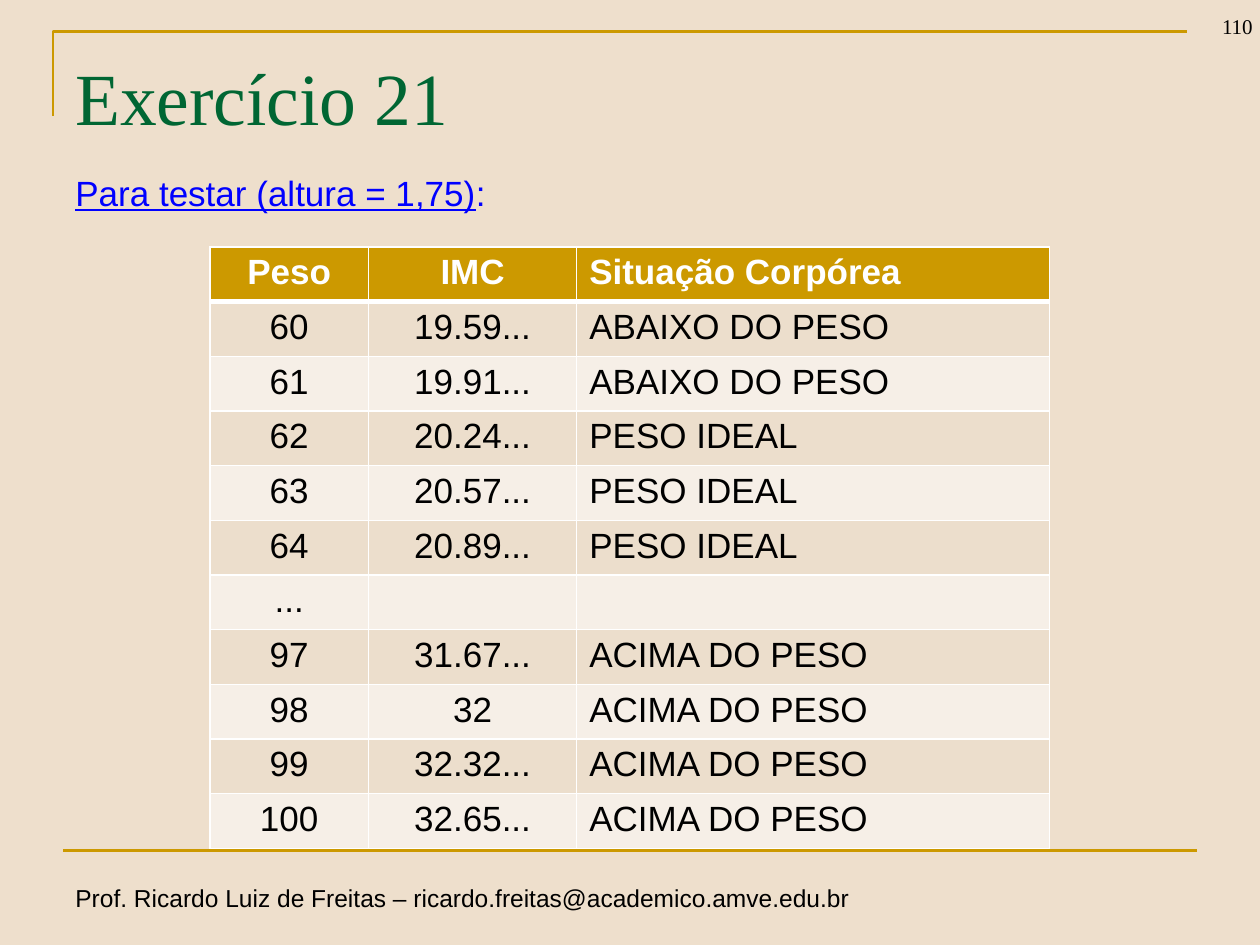
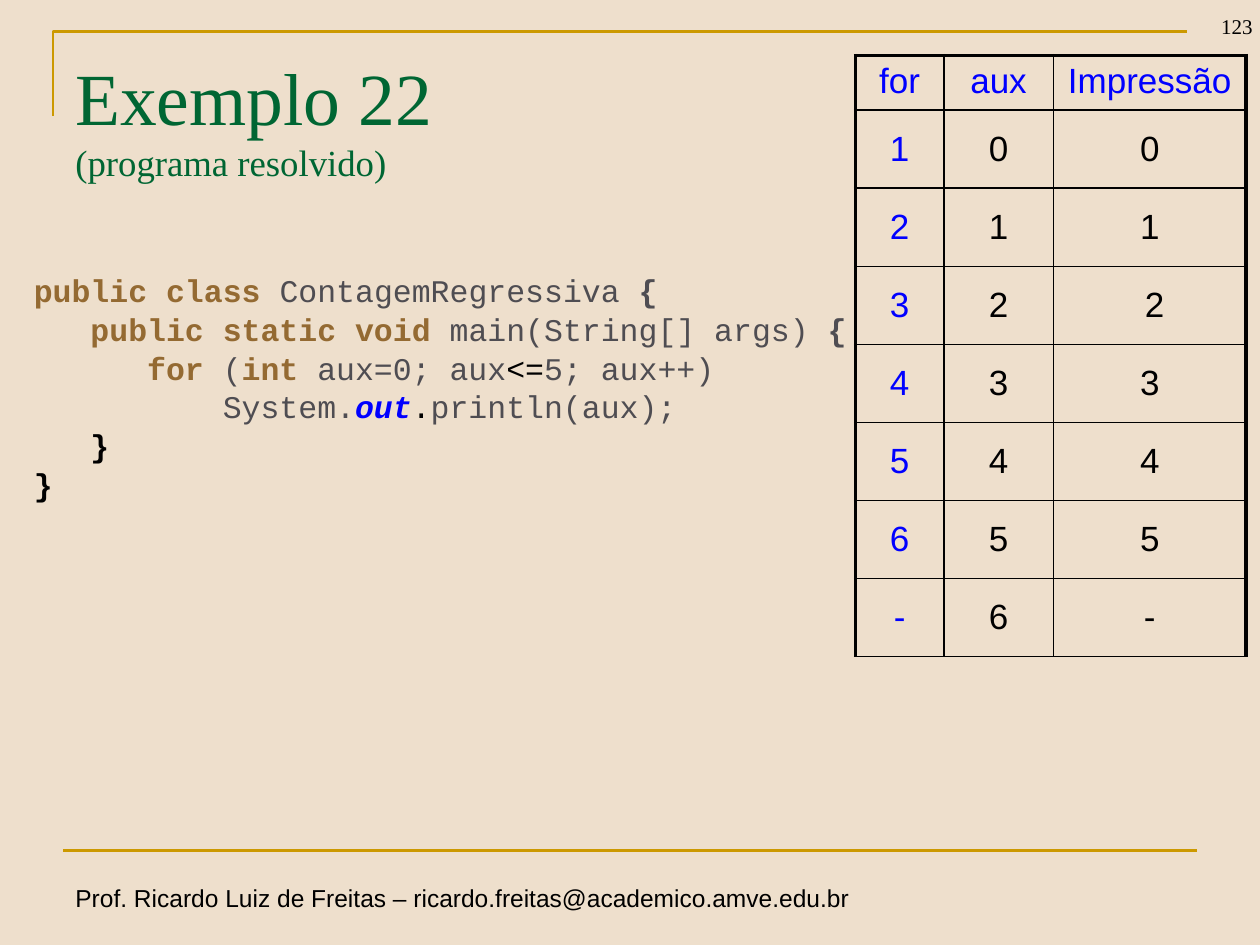
import lxml.etree
import pptx
import pptx.dml.color
import pptx.enum.shapes
import pptx.enum.text
import pptx.oxml.ns
import pptx.util

ALIGN = pptx.enum.text.PP_ALIGN
ANCHOR = pptx.enum.text.MSO_ANCHOR
qn = pptx.oxml.ns.qn

# The slide is a grid of 20 columns by 15 rows; boxes are (column, row, columns, rows).
COLUMNS, ROWS = 20, 15
UNIT = pptx.util.Inches(0.5)
HEADER_ROWS = 0.84
NO_STYLE = "{2D5ABB26-0587-4C30-8999-92F81FD0307C}"

SAND, GOLD, GREEN, BLUE = "EEDFCC", "CC9900", "006633", "0000FF"
BLACK, WHITE, BROWN, GRAY = "000000", "FFFFFF", "946A32", "4F4D52"
BANDS = ["ECDECC", "F6EFE7"]

TITLE = {"name": "Times New Roman", "size": 42, "color": GREEN}
SUBTITLE = {**TITLE, "size": 21}
NUMBER = {"name": "Times New Roman", "size": 12, "color": BLACK}
FOOTER = {"name": "Arial", "size": 14, "color": BLACK}
BODY = {"name": "Arial", "size": 20, "color": BLACK}
BODY_BLUE = {**BODY, "color": BLUE}
HEADER = {**BODY, "color": WHITE, "bold": True}
CODE = {"name": "Courier New", "size": 18, "color": GRAY}
KEYWORD = {**CODE, "color": BROWN, "bold": True}
BRACE = {**CODE, "bold": True}
END_BRACE = {**BRACE, "color": BLACK}
OPERATOR = {**CODE, "color": BLACK}
FIELD = {**CODE, "color": BLUE, "bold": True, "italic": True}
CODE_INDENT = pptx.util.Inches(0.15)

FOOTER_TEXT = "Prof. Ricardo Luiz de Freitas – ricardo.freitas@academico.amve.edu.br"

WEIGHTS = [
    ("Peso", "IMC", "Situação Corpórea"),
    ("60", "19.59...", "ABAIXO DO PESO"),
    ("61", "19.91...", "ABAIXO DO PESO"),
    ("62", "20.24...", "PESO IDEAL"),
    ("63", "20.57...", "PESO IDEAL"),
    ("64", "20.89...", "PESO IDEAL"),
    ("...", "", ""),
    ("97", "31.67...", "ACIMA DO PESO"),
    ("98", "32", "ACIMA DO PESO"),
    ("99", "32.32...", "ACIMA DO PESO"),
    ("100", "32.65...", "ACIMA DO PESO"),
]
TRACE = [
    ("for", "aux", "Impressão"),
    ("1", "0", "0"),
    ("2", "1", "1"),
    ("3", "2", " 2"),
    ("4", "3", "3"),
    ("5", "4", "4"),
    ("6", "5", "5"),
    ("-", "6", "-"),
]
# Each line: indent in characters, line spacing, space before, spans.
CODE_LINES = [
    (0, 1, 0, [("public class ", KEYWORD), ("ContagemRegressiva ", CODE), ("{", BRACE)]),
    (3, 1, 0.7, [("public static void ", KEYWORD), ("main(String[] args) ", CODE),
                 ("{", BRACE)]),
    (6, 0.8, 4.8, [("for ", KEYWORD), ("(", CODE), ("int ", KEYWORD), ("aux=0; aux", CODE),
                   ("<=", OPERATOR), ("5; aux++)", CODE)]),
    (10, 0.8, 4.8, [("System.", CODE), ("out", FIELD), (".", OPERATOR),
                    ("println(aux);", CODE)]),
    (3, 0.8, 4.8, [("}", END_BRACE)]),
    (0, 0.8, 4.8, [("}", END_BRACE)]),
]


def rgb(value):
    return pptx.dml.color.RGBColor.from_string(value)


def grid(*lengths):
    return [round(length * UNIT) for length in lengths]


def write(para, spans, **layout):
    for key, value in layout.items():
        setattr(para, key, value)
    for text, style in spans:
        span = para.add_run()
        span.text = text
        for key, value in style.items():
            if key == "color":
                span.font.color.rgb = rgb(value)
            else:
                setattr(span.font, key, pptx.util.Pt(value) if key == "size" else value)


def add_text(page, box, spans=(), frame_format=None, **layout):
    frame = page.shapes.add_textbox(*grid(*box)).text_frame
    for key, value in {"word_wrap": True, **(frame_format or {})}.items():
        setattr(frame, key, value)
    write(frame.paragraphs[0], spans, **layout)
    return frame


def style_line(shape):
    shape.line.color.rgb = rgb(GOLD)
    shape.line.width = pptx.util.Pt(1.5)


def add_corner(page, box):
    left, top, width, height = grid(*box)
    builder = page.shapes.build_freeform(left, top + height)
    builder.add_line_segments([(left, top), (left + width, top)], close=False)
    corner = builder.convert_to_shape()
    corner.shadow.inherit = False
    corner.fill.background()
    style_line(corner)


def add_rule(page, left, right, row):
    start, end, level = grid(left, right, row)
    rule = page.shapes.add_connector(
        pptx.enum.shapes.MSO_CONNECTOR.STRAIGHT, start, level, end, level)
    style_line(rule)
    lxml.etree.SubElement(rule.element.spPr, qn("a:effectLst"))


def set_borders(cell, color, widths):
    """Draw the borders; widths are points for left, right, top and bottom."""
    properties = cell._tc.get_or_add_tcPr()
    for side, width in zip("LRTB", widths):
        line = lxml.etree.SubElement(properties, qn(f"a:ln{side}"), w=str(pptx.util.Pt(width)))
        fill = lxml.etree.SubElement(line, qn("a:solidFill"))
        lxml.etree.SubElement(fill, qn("a:srgbClr"), val=color)


def add_table(page, box, shares, records, format_cell):
    """Fill the box with a table: a fixed header, then equal rows."""
    frame = page.shapes.add_table(len(records), len(shares), *grid(*box))
    table = frame.table
    table.first_row = table.horz_banding = False
    for style in frame.element.iter(qn("a:tableStyleId")):
        style.text = NO_STYLE
    for column, share in zip(table.columns, shares):
        column.width = round(box[2] * UNIT * share / sum(shares))
    body_rows = (box[3] - HEADER_ROWS) / (len(records) - 1)
    for r, record in enumerate(records):
        table.rows[r].height = round((body_rows if r else HEADER_ROWS) * UNIT)
        for c, text in enumerate(record):
            cell = table.cell(r, c)
            style, align = format_cell(cell, r, c)
            write(cell.text_frame.paragraphs[0], [(text, style)] if text else [],
                  alignment=align)


def format_weight(cell, r, c):
    set_borders(cell, WHITE, (1, 1, 3 if r == 1 else 1, 1 if r else 3))
    cell.fill.solid()
    cell.fill.fore_color.rgb = rgb(BANDS[(r - 1) % 2] if r else GOLD)
    return BODY if r else HEADER, ALIGN.LEFT if c == 2 else ALIGN.CENTER


def format_trace(cell, r, c):
    thick, thin = 2.25, 1
    set_borders(cell, BLACK, (thin if c else thick, thick if c == 2 else thin,
                              thin if r else thick, thin))
    cell.fill.background()
    cell.vertical_anchor = ANCHOR.MIDDLE if r else ANCHOR.TOP
    return BODY if r and c else BODY_BLUE, ALIGN.CENTER


def add_code(page, box):
    frame = add_text(page, box)
    for index, (indent, spacing, before, spans) in enumerate(CODE_LINES):
        para = frame.add_paragraph() if index else frame.paragraphs[0]
        para._p.get_or_add_pPr().set("marL", str(indent * CODE_INDENT))
        write(para, spans, line_spacing=spacing, space_before=pptx.util.Pt(before))


def add_page(deck, number, title, subtitle=None):
    page = deck.slides.add_slide(deck.slide_layouts[6])
    page.background.fill.solid()
    page.background.fill.fore_color.rgb = rgb(SAND)
    add_corner(page, (0.84, 0.5, 18, 1.34))
    add_text(page, (1, 13.92, 12.76, 0.68), [(FOOTER_TEXT, FOOTER)], {"word_wrap": False})
    add_rule(page, 1, COLUMNS - 1, 13.5)
    add_text(page, (18.58, -0.28, 1.5, 1), [(number, NUMBER)],
             {"vertical_anchor": ANCHOR.BOTTOM}, alignment=ALIGN.RIGHT)
    heading = add_text(page, (1, 0.6, 18, 2.5), [(title, TITLE)],
                       {"margin_top": pptx.util.Inches(0.11)}).paragraphs[0]
    if subtitle:
        heading.add_line_break()
        write(heading, [(subtitle, SUBTITLE)])
    return page


def add_exercise(deck):
    page = add_page(deck, "110", "Exercício 21")
    prompt = [("Para testar (altura = 1,75)", {**BODY_BLUE, "underline": True}),
              (":", BODY_BLUE)]
    add_text(page, (1, 2.7, 6.94, 0.8), prompt, {"word_wrap": False}, line_spacing=0.9)
    add_table(page, (3.33, 3.92, 13.33, 9.52), (1.26, 1.65, 3.75), WEIGHTS, format_weight)


def add_example(deck):
    page = add_page(deck, "123", "Exemplo 22", "(programa resolvido)")
    add_code(page, (0.34, 4.2, 18, 3.86))
    add_table(page, (13.58, 0.88, 6.2, 9.52), (0.7, 0.87, 1.53), TRACE, format_trace)


def main():
    deck = pptx.Presentation()
    deck.slide_width, deck.slide_height = grid(COLUMNS, ROWS)
    add_exercise(deck)
    add_example(deck)
    deck.save("out.pptx")


if __name__ == "__main__":
    main()
